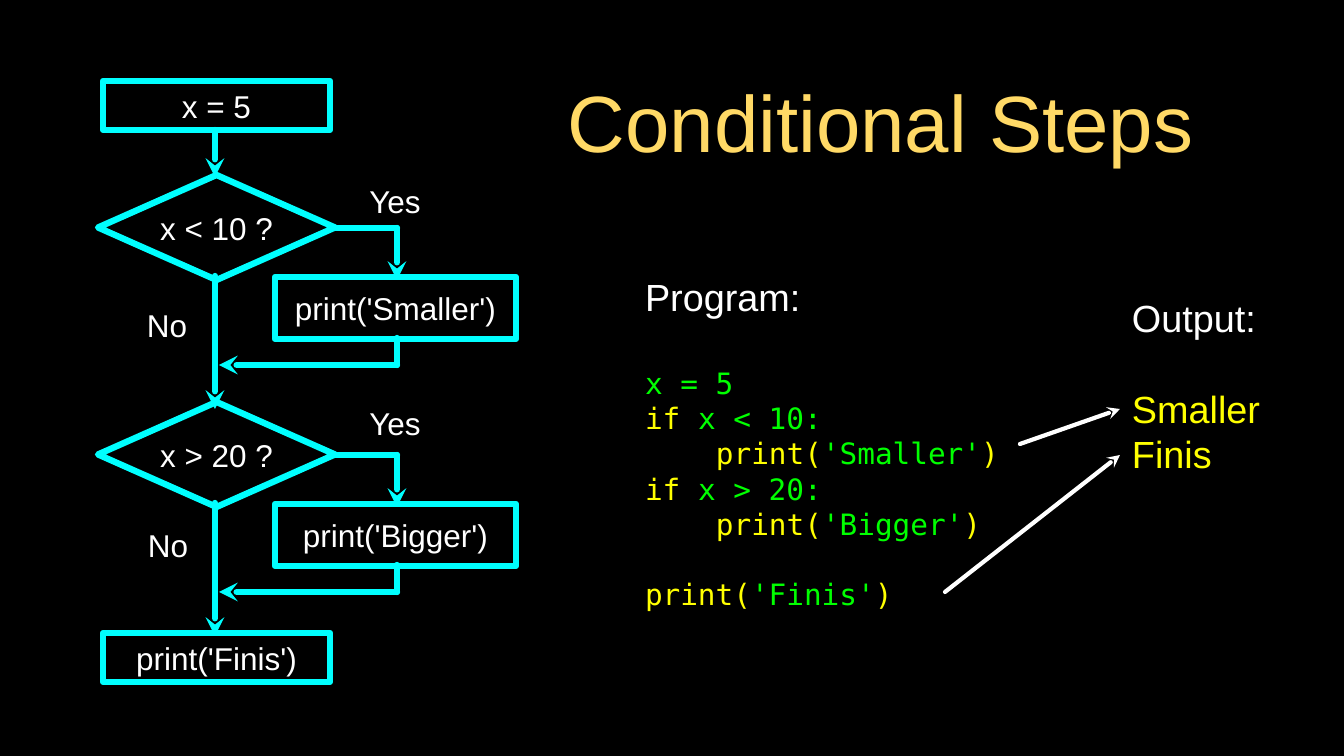
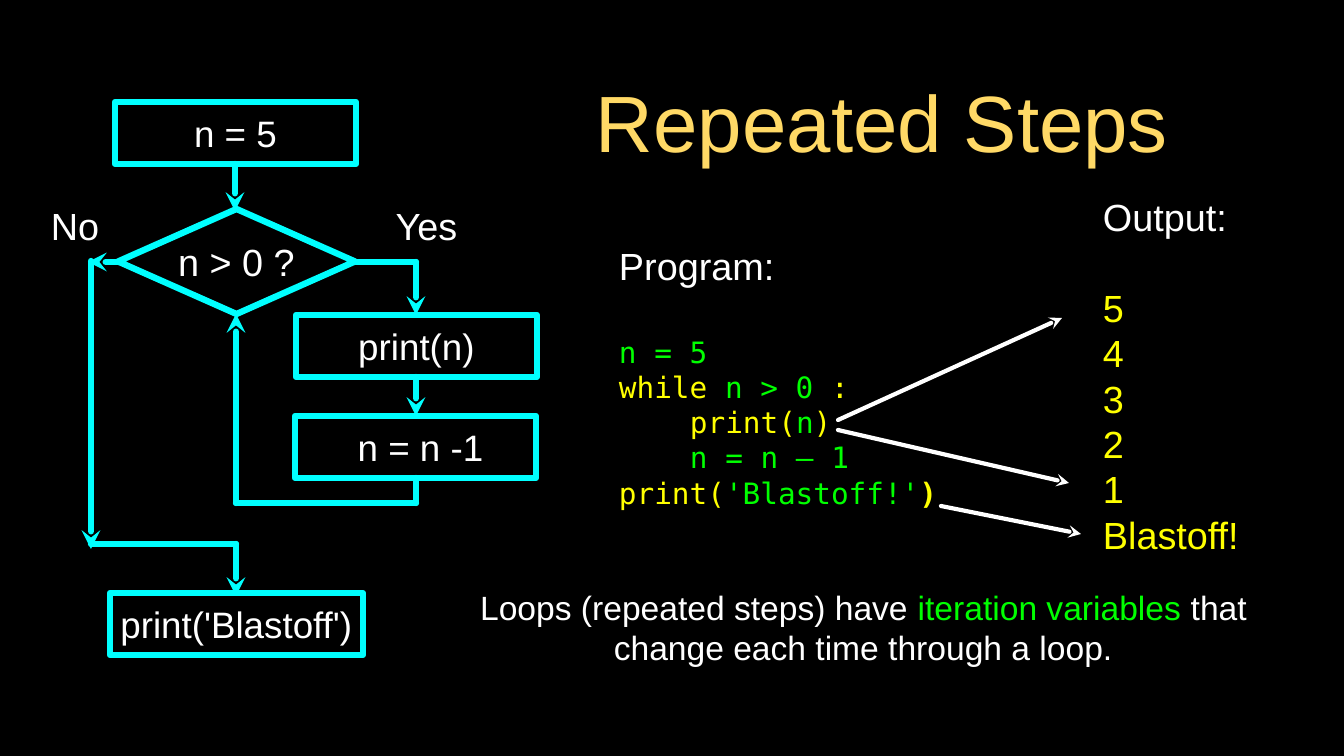
from lxml import etree
from pptx import Presentation
from pptx import util as u
from pptx.dml.color import RGBColor
from pptx.enum import shapes, text
from pptx.oxml.ns import qn

SCALE = 914400 / 75.6
BLACK, WHITE, CYAN = "000000", "FFFFFF", "00FFFF"
GOLD, YELLOW, GREEN = "FFD966", "FFFF00", "00FF00"
SANS, MONO = "Arial", "DejaVu Sans Mono"
LEADING = 1.2
CODE_SIZE, HEADING_SIZE = 28, 36
CODE_INDENT = 71
FLOW_WIDTH, POINTER_WIDTH = 6, 4
BOX, DECISION = shapes.MSO_SHAPE.RECTANGLE, shapes.MSO_SHAPE.DIAMOND
LEFT, CENTER = text.PP_ALIGN.LEFT, text.PP_ALIGN.CENTER
STEP = 227


def conditional_block(question, action, top):
    nodes = [
        (DECISION, question, (98, top, 237, 105)),
        (BOX, action, (275, top + 102, 241, 62)),
    ]
    paths = [
        ([(334, top + 53), (397, top + 53), (397, top + 105)], True),
        ([(397, top + 163), (397, top + 190), (219, top + 190)], True),
        ([(215, top + 101), (215, top + 234)], True),
    ]
    return nodes, paths


first_nodes, first_paths = conditional_block("x < 10 ?", "print('Smaller')", 175)
second_nodes, second_paths = conditional_block("x > 20 ?", "print('Bigger')", 175 + STEP)

SLIDES = [
    {
        "title": ("Conditional Steps", (484, 64, 793, 113)),
        "node_size": 30,
        "label_size": 30,
        "nodes": [(BOX, "x = 5", (103, 81, 227, 49))] + first_nodes + second_nodes
        + [(BOX, "print('Finis')", (103, 633, 227, 49))],
        "paths": [([(215, 130), (215, 177)], True)] + first_paths + second_paths,
        "labels": [
            ("Yes", (365, 175, 60, 51)),
            ("No", (137, 299, 60, 51)),
            ("Yes", (365, 397, 60, 51)),
            ("No", (138, 519, 60, 51)),
        ],
        "code_area": (645, 237, 375, 412),
        "code": [
            (0, 0, [("x = 5", GREEN)]),
            (0, 0, [("if ", YELLOW), ("x < 10:", GREEN)]),
            (1, 0, [("print(", YELLOW), ("'Smaller'", GREEN), (")", YELLOW)]),
            (0, 0, [("if ", YELLOW), ("x > 20:", GREEN)]),
            (1, 0, [("print(", YELLOW), ("'Bigger'", GREEN), (")", YELLOW)]),
            (0, 1, [("print(", YELLOW), ("'Finis'", GREEN), (")", YELLOW)]),
        ],
        "output_area": (1132, 295, 131, 181),
        "output": ["Smaller", "Finis"],
        "pointers": [[(1020, 444), (1120, 409)], [(945, 592), (1120, 455)]],
    },
    {
        "title": ("Repeated Steps", (487, 64, 790, 113)),
        "node_size": 35,
        "label_size": 36,
        "nodes": [
            (BOX, "n = 5", (115, 102, 241, 62)),
            (DECISION, "n > 0 ?", (118, 209, 237, 105)),
            (BOX, "print(n)", (296, 315, 241, 62)),
            (BOX, " n = n -1", (295, 416, 241, 62)),
            (BOX, "print('Blastoff')", (110, 593, 253, 62)),
        ],
        "paths": [
            ([(235, 164), (235, 211)], True),
            ([(354, 262), (416, 262), (416, 315)], True),
            ([(416, 377), (416, 416)], True),
            ([(416, 478), (416, 503), (236, 503), (236, 314)], True),
            ([(121, 262), (88, 262)], True),
            ([(91, 261), (91, 549)], True),
            ([(91, 544), (236, 544), (236, 596)], True),
        ],
        "labels": [("No", (45, 200, 60, 51)), ("Yes", (385, 200, 83, 51))],
        "code_area": (619, 216, 330, 321),
        "code": [
            (0, 0, [("n = 5", GREEN)]),
            (0, 0, [("while", YELLOW), (" n > 0", GREEN), (" :", YELLOW)]),
            (1, 0, [("print(", YELLOW), ("n", GREEN), (")", YELLOW)]),
            (1, 0, [("n = n – 1", GREEN)]),
            (0, 0, [("print(", YELLOW), ("'Blastoff!'", GREEN), (")", YELLOW, True)]),
        ],
        "output_area": (1103, 199, 165, 353),
        "output": ["5", "4", "3", "2", "1", "Blastoff!"],
        "pointers": [
            [(838, 420), (1062, 318)],
            [(838, 430), (1069, 483)],
            [(941, 506), (1081, 534)],
        ],
        "note": (
            [("Loops (repeated steps) have ", WHITE), ("iteration variables ", GREEN),
             ("that change each time through a loop.", WHITE)],
            (426, 578, 875, 98),
        ),
    },
]


def px(value):
    return u.Emu(round(value * SCALE))


def color(value):
    return RGBColor.from_string(value)


def assign(target, values):
    for name, value in values.items():
        setattr(target, name, value)


def line(runs, size, font=SANS, align=CENTER, indent=0, gap=0):
    return {"runs": runs, "size": size, "font": font, "align": align,
            "indent": indent, "gap": gap}


def write(shape, lines, inset=0):
    frame = shape.text_frame
    assign(frame, {"word_wrap": True, "vertical_anchor": text.MSO_ANCHOR.MIDDLE,
                   "margin_left": px(inset), "margin_right": px(inset),
                   "margin_top": px(inset), "margin_bottom": px(inset)})
    for index, item in enumerate(lines):
        paragraph = frame.add_paragraph() if index else frame.paragraphs[0]
        assign(paragraph, {"alignment": item["align"],
                           "line_spacing": u.Pt(item["size"] * LEADING),
                           "space_before": u.Pt(item["gap"])})
        if item["indent"]:
            paragraph._p.get_or_add_pPr().set("marL", str(px(item["indent"])))
        for content, run_color, *bold in item["runs"]:
            run = paragraph.add_run()
            run.text = content
            assign(run.font, {"name": item["font"], "size": u.Pt(item["size"]),
                              "bold": bool(bold)})
            run.font.color.rgb = color(run_color)


def add_text(slide, area, lines, inset=0):
    write(slide.shapes.add_textbox(*map(px, area)), lines, inset)


def style_line(shape, line_color, width, arrow=False):
    shape.line.color.rgb = color(line_color)
    shape.line.width = u.Pt(width)
    outline = shape.line._get_or_add_ln()
    outline.set("cap", "rnd")
    etree.SubElement(outline, qn("a:round"))
    if arrow:
        etree.SubElement(outline, qn("a:tailEnd"), type="stealth")


def add_node(slide, kind, label, area, size):
    shape = slide.shapes.add_shape(kind, *map(px, area))
    shape.shadow.inherit = False
    shape.fill.background()
    style_line(shape, CYAN, FLOW_WIDTH)
    write(shape, [line([(label, WHITE)], size)])


def add_path(slide, points, line_color, width, arrow=True):
    last = len(points) - 2
    for index, (start, end) in enumerate(zip(points, points[1:])):
        connector = slide.shapes.add_connector(
            shapes.MSO_CONNECTOR.STRAIGHT, *map(px, start + end))
        style_line(connector, line_color, width, arrow and index == last)
        etree.SubElement(connector._element.spPr, qn("a:effectLst"))


def heading(label):
    return line([(label, WHITE)], HEADING_SIZE, align=LEFT)


def code_lines(code):
    lines = [heading("Program:")]
    for index, (level, blank, runs) in enumerate(code):
        gap = LEADING * (blank * CODE_SIZE if index else HEADING_SIZE)
        lines.append(line(runs, CODE_SIZE, MONO, LEFT, level * CODE_INDENT, gap))
    return lines


def output_lines(output):
    return [heading("Output:")] + [
        line([(value, YELLOW)], HEADING_SIZE, align=LEFT,
             gap=0 if index else LEADING * HEADING_SIZE)
        for index, value in enumerate(output)]


def build(presentation, content):
    slide = presentation.slides.add_slide(presentation.slide_layouts[6])
    slide.background.fill.solid()
    slide.background.fill.fore_color.rgb = color(BLACK)
    title, area = content["title"]
    add_text(slide, area, [line([(title, GOLD)], 76)], 3)
    for kind, label, area in content["nodes"]:
        add_node(slide, kind, label, area,
                 content["label_size"] if kind == DECISION else content["node_size"])
    for points, arrow in content["paths"]:
        add_path(slide, points, CYAN, FLOW_WIDTH, arrow)
    for label, area in content["labels"]:
        add_text(slide, area, [line([(label, WHITE)], content["label_size"])])
    add_text(slide, content["code_area"], code_lines(content["code"]))
    add_text(slide, content["output_area"], output_lines(content["output"]))
    for points in content["pointers"]:
        add_path(slide, points, WHITE, POINTER_WIDTH)
    if "note" in content:
        runs, area = content["note"]
        add_text(slide, area, [line(runs, 32)])


presentation = Presentation()
assign(presentation, {"slide_width": px(1344), "slide_height": px(756)})
for content in SLIDES:
    build(presentation, content)
presentation.save("out.pptx")
